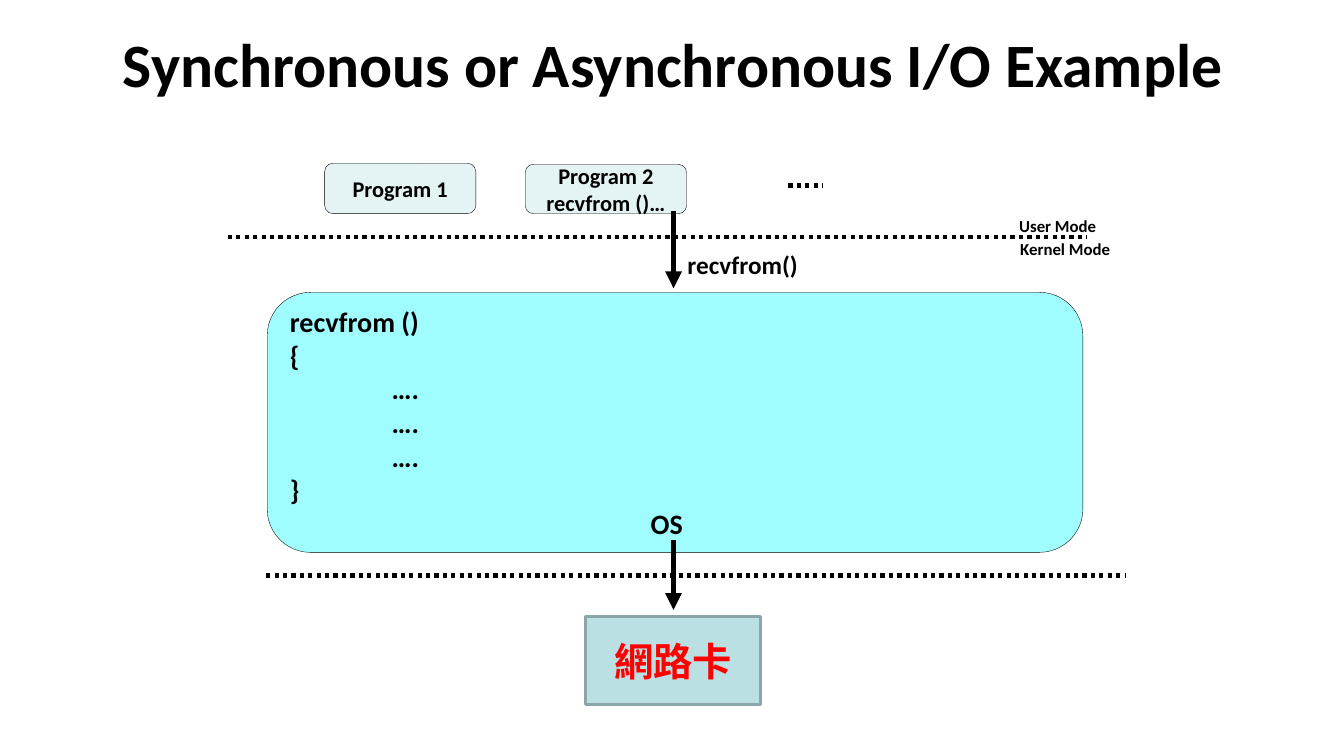
from dataclasses import dataclass

from lxml import etree
from pptx import Presentation
from pptx.dml.color import RGBColor
from pptx.enum.dml import MSO_LINE
from pptx.enum.shapes import MSO_CONNECTOR, MSO_SHAPE
from pptx.enum.text import MSO_ANCHOR, PP_ALIGN
from pptx.oxml.ns import qn
from pptx.slide import Slide
from pptx.text.text import TextFrame
from pptx.util import Emu, Pt

ROUNDED, RECTANGLE = MSO_SHAPE.ROUNDED_RECTANGLE, MSO_SHAPE.RECTANGLE
LEFT, CENTER = PP_ALIGN.LEFT, PP_ALIGN.CENTER
TOP, MIDDLE = MSO_ANCHOR.TOP, MSO_ANCHOR.MIDDLE
STRAIGHT = MSO_CONNECTOR.STRAIGHT
DOTTED = MSO_LINE.ROUND_DOT

BLACK = RGBColor(0x00, 0x00, 0x00)
RED = RGBColor(0xFF, 0x00, 0x00)
PALE_TEAL = RGBColor(0xE4, 0xF3, 0xF4)
CYAN = RGBColor(0x9F, 0xFD, 0xFF)
TEAL = RGBColor(0xBB, 0xE0, 0xE3)
TEAL_EDGE = RGBColor(0x8A, 0xA6, 0xA8)

LATIN_FONT = "Calibri"
CHINESE_FONT = "Noto Sans CJK SC"
EMU_PER_PX = 9144  # 100 px to the inch
CODE_INDENT = 101
OS_INDENT = 358
ARROW_X = 668


def px(length: int) -> Emu:
    return Emu(length * EMU_PER_PX)


@dataclass(frozen=True)
class Line:
    text: str
    indent: int = 0


@dataclass(frozen=True)
class TextStyle:
    size: int
    align: PP_ALIGN = CENTER
    anchor: MSO_ANCHOR = MIDDLE
    color: RGBColor = BLACK
    font: str = LATIN_FONT
    wrap: bool = True


@dataclass(frozen=True)
class Block:
    left: int
    top: int
    width: int
    height: int
    lines: tuple[Line, ...]
    style: TextStyle

    def frame(self) -> tuple[Emu, Emu, Emu, Emu]:
        return px(self.left), px(self.top), px(self.width), px(self.height)


@dataclass(frozen=True)
class Panel(Block):
    fill: RGBColor
    edge: RGBColor = BLACK
    edge_width: float = 0.25
    outline: MSO_SHAPE = ROUNDED


@dataclass(frozen=True)
class Stroke:
    start: tuple[int, int]
    end: tuple[int, int]
    width: int
    arrow: bool = False


PROGRAM = TextStyle(16)
MODE = TextStyle(12, anchor=TOP, wrap=False)
CALL = TextStyle(18, LEFT, TOP, wrap=False)
CODE = TextStyle(20, LEFT)
CARD = TextStyle(28, color=RED, font=CHINESE_FONT)

LABELS = (
    Block(68, 0, 1200, 125,
          (Line("Synchronous or Asynchronous I/O Example"),), TextStyle(44)),
    Block(1000, 209, 98, 26, (Line("User Mode"),), MODE),
    Block(1001, 232, 111, 26, (Line("Kernel Mode"),), MODE),
    Block(672, 242, 131, 34, (Line("recvfrom()"),), CALL),
)

KERNEL_CODE = (
    Line("recvfrom ()"),
    Line("{"),
    *[Line("….", CODE_INDENT)] * 3,
    Line("}"),
    Line("OS", OS_INDENT),
)

PANELS = (
    Panel(322, 162, 150, 50, (Line("Program 1"),), PROGRAM, PALE_TEAL),
    Panel(521, 163, 160, 49,
          (Line("Program 2"), Line("recvfrom ()…")), PROGRAM, PALE_TEAL),
    Panel(265, 290, 809, 258, KERNEL_CODE, CODE, CYAN),
    Panel(581, 612, 173, 87, (Line("網路卡"),), CARD,
          TEAL, TEAL_EDGE, 2, RECTANGLE),
)

DIVIDERS = (
    Stroke((226, 235), (1078, 235), 3),
    Stroke((782, 184), (816, 184), 3),
    Stroke((264, 571), (1117, 571), 3),
)

ARROWS = (
    Stroke((ARROW_X, 209), (ARROW_X, 286), 4, arrow=True),
    Stroke((ARROW_X, 536), (ARROW_X, 605), 4, arrow=True),
)


def write_lines(text_frame: TextFrame, block: Block) -> None:
    style = block.style
    text_frame.word_wrap = style.wrap
    text_frame.vertical_anchor = style.anchor
    for index, line in enumerate(block.lines):
        para = text_frame.add_paragraph() if index else text_frame.paragraphs[0]
        para.text = line.text
        para.alignment = style.align
        properties = para._p.get_or_add_pPr()
        if line.indent:
            properties.set("marL", str(px(line.indent)))
        font = para.font
        font.size = Pt(style.size)
        font.bold = True
        font.color.rgb = style.color
        font.name = style.font
        east_asian = etree.SubElement(properties.find(qn("a:defRPr")), qn("a:ea"))
        east_asian.set("typeface", style.font)


def add_label(page: Slide, label: Block) -> None:
    box = page.shapes.add_textbox(*label.frame())
    write_lines(box.text_frame, label)


def add_panel(page: Slide, panel: Panel) -> None:
    box = page.shapes.add_shape(panel.outline, *panel.frame())
    box.shadow.inherit = False
    box.fill.solid()
    box.fill.fore_color.rgb = panel.fill
    box.line.color.rgb = panel.edge
    box.line.width = Pt(panel.edge_width)
    write_lines(box.text_frame, panel)


def add_stroke(page: Slide, stroke: Stroke) -> None:
    """Draw a solid arrow, or a dotted line when the stroke has no arrowhead."""
    connector = page.shapes.add_connector(
        STRAIGHT, *map(px, stroke.start), *map(px, stroke.end))
    connector.line.color.rgb = BLACK
    connector.line.width = Pt(stroke.width)
    if stroke.arrow:
        head = etree.SubElement(connector.line._get_or_add_ln(), qn("a:tailEnd"))
        head.set("type", "triangle")
    else:
        connector.line.dash_style = DOTTED
    etree.SubElement(connector._element.spPr, qn("a:effectLst"))


def main() -> None:
    deck = Presentation()
    deck.slide_width, deck.slide_height = px(1333), px(750)
    page = deck.slides.add_slide(deck.slide_layouts[6])
    for divider in DIVIDERS:
        add_stroke(page, divider)
    for panel in PANELS:
        add_panel(page, panel)
    for label in LABELS:
        add_label(page, label)
    for arrow in ARROWS:
        add_stroke(page, arrow)
    deck.save("out.pptx")


if __name__ == "__main__":
    main()
